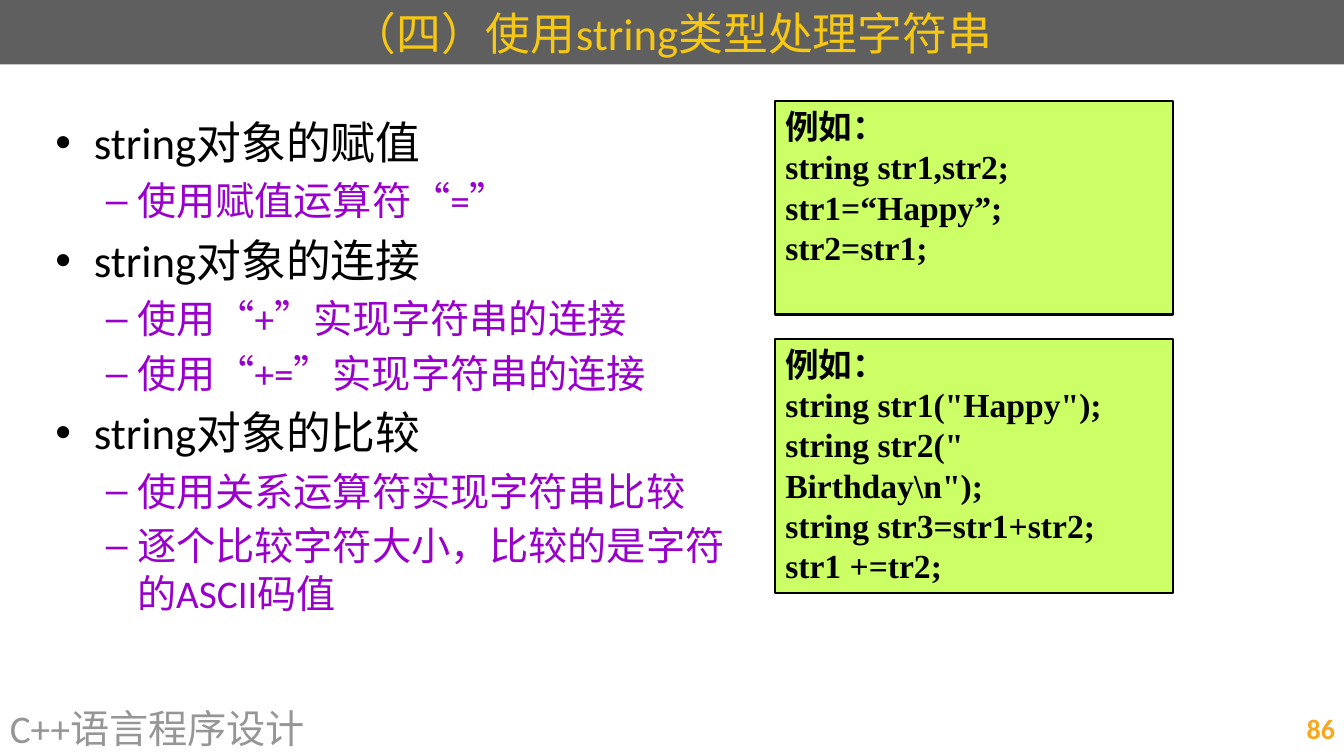
from dataclasses import dataclass

from lxml.etree import SubElement
from pptx import Presentation
from pptx.dml.color import RGBColor
from pptx.enum.shapes import MSO_SHAPE
from pptx.enum.text import MSO_ANCHOR, MSO_AUTO_SIZE, PP_ALIGN
from pptx.oxml.ns import qn
from pptx.util import Inches, Pt


@dataclass
class TextStyle:
    size: int
    color: str
    font: str = "Calibri"
    bold: bool = False


@dataclass
class BulletLevel:
    style: TextStyle
    bullet: str
    margin: float
    hanging: float


@dataclass
class CodeBox:
    top: float
    height: float
    lines: list[str]


@dataclass
class FooterText:
    left: float
    width: float
    text: str
    style: TextStyle
    alignment: PP_ALIGN


TITLE_STYLE = TextStyle(32, "F6C813")
CODE_STYLE = TextStyle(24, "000000", "Times New Roman", True)
LEVELS = [
    BulletLevel(TextStyle(32, "000000"), "•", 0.38, 0.38),
    BulletLevel(TextStyle(28, "9900CC"), "–", 0.81, 0.31),
]
TOPICS = [
    (0, "string对象的赋值"),
    (1, "使用赋值运算符“=”"),
    (0, "string对象的连接"),
    (1, "使用“+”实现字符串的连接"),
    (1, "使用“+=”实现字符串的连接"),
    (0, "string对象的比较"),
    (1, "使用关系运算符实现字符串比较"),
    (1, "逐个比较字符大小，比较的是字符\v的ASCII码值"),
]
CODE_BOXES = [
    CodeBox(1, 2.12, ["例如：", "string str1,str2;", "str1=“Happy”;", "str2=str1;"]),
    CodeBox(3.36, 2.52, ["例如：", 'string str1("Happy");', 'string str2(" Birthday\\n");',
                         "string str3=str1+str2;", "str1 +=tr2;"]),
]
FOOTERS = [
    FooterText(0, 8.78, "C++语言程序设计", TextStyle(28, "969696"), PP_ALIGN.LEFT),
    FooterText(9.56, 3.78, "86", TextStyle(20, "F8A720", bold=True), PP_ALIGN.RIGHT),
]


def rgb(color: str) -> RGBColor:
    return RGBColor.from_string(color)


def place(shape, left: float, top: float, width: float, height: float) -> None:
    shape.left, shape.top = Inches(left), Inches(top)
    shape.width, shape.height = Inches(width), Inches(height)


def fill_shape(shape, color: str) -> None:
    shape.fill.solid()
    shape.fill.fore_color.rgb = rgb(color)


def prepare_frame(shape, anchor: MSO_ANCHOR):
    frame = shape.text_frame
    frame.word_wrap = True
    frame.auto_size = MSO_AUTO_SIZE.NONE
    frame.vertical_anchor = anchor
    return frame


def format_runs(paragraph, style: TextStyle) -> None:
    for run in paragraph.runs:
        run.font.name = style.font
        run.font.size = Pt(style.size)
        run.font.bold = style.bold
        run.font.color.rgb = rgb(style.color)


def add_title(slide, text: str) -> None:
    title = slide.shapes.title
    place(title, 0, 0, 13.33, 0.64)
    fill_shape(title, "5F5F5F")
    frame = prepare_frame(title, MSO_ANCHOR.MIDDLE)
    frame.text = text
    frame.paragraphs[0].alignment = PP_ALIGN.CENTER
    format_runs(frame.paragraphs[0], TITLE_STYLE)


def set_bullet(paragraph, level: BulletLevel) -> None:
    properties = paragraph._p.get_or_add_pPr()
    properties.set("marL", str(Inches(level.margin)))
    properties.set("indent", str(-Inches(level.hanging)))
    SubElement(properties, qn("a:buChar")).set("char", level.bullet)


def add_topics(slide) -> None:
    body = slide.placeholders[1]
    place(body, 0.45, 1.09, 12.68, 5.61)
    frame = prepare_frame(body, MSO_ANCHOR.TOP)
    for index, (depth, text) in enumerate(TOPICS):
        paragraph = frame.add_paragraph() if index else frame.paragraphs[0]
        level = LEVELS[depth]
        paragraph.text = text
        paragraph.level = depth
        set_bullet(paragraph, level)
        paragraph.space_before = Pt(0.2 * level.style.size if index else 0)
        format_runs(paragraph, level.style)


def add_code_box(slide, box: CodeBox) -> None:
    shape = slide.shapes.add_shape(MSO_SHAPE.RECTANGLE, Inches(7.69), Inches(box.top),
                                   Inches(3.94), Inches(box.height))
    shape.shadow.inherit = False
    fill_shape(shape, "CCFF66")
    shape.line.color.rgb = rgb("000000")
    shape.line.width = Pt(1.5)
    frame = prepare_frame(shape, MSO_ANCHOR.TOP)
    frame.text = "\n".join(box.lines)
    for paragraph in frame.paragraphs:
        paragraph.alignment = PP_ALIGN.LEFT
        format_runs(paragraph, CODE_STYLE)


def add_footer(slide, footer: FooterText) -> None:
    shape = slide.shapes.add_textbox(Inches(footer.left), Inches(6.95),
                                     Inches(footer.width), Inches(0.55))
    frame = prepare_frame(shape, MSO_ANCHOR.MIDDLE)
    frame.text = footer.text
    frame.paragraphs[0].alignment = footer.alignment
    format_runs(frame.paragraphs[0], footer.style)


def main() -> None:
    presentation = Presentation()
    presentation.slide_width = Inches(13.33)
    presentation.slide_height = Inches(7.5)
    slide = presentation.slides.add_slide(presentation.slide_layouts[1])

    # Title bar and topic list
    add_title(slide, "（四）使用string类型处理字符串")
    add_topics(slide)

    # Course name and page number
    for footer in FOOTERS:
        add_footer(slide, footer)

    # Code examples
    for box in CODE_BOXES:
        add_code_box(slide, box)

    presentation.save("out.pptx")


if __name__ == "__main__":
    main()
